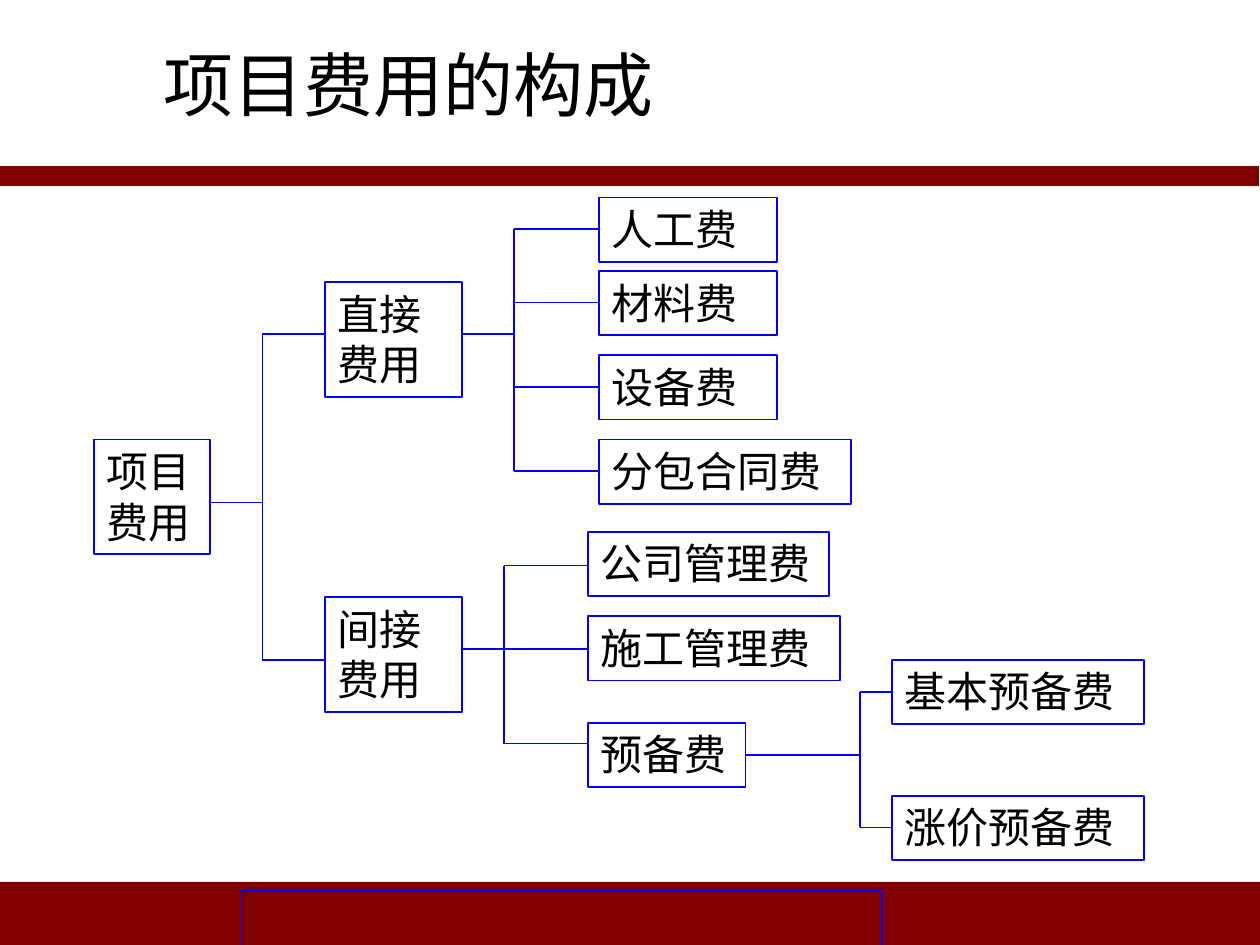
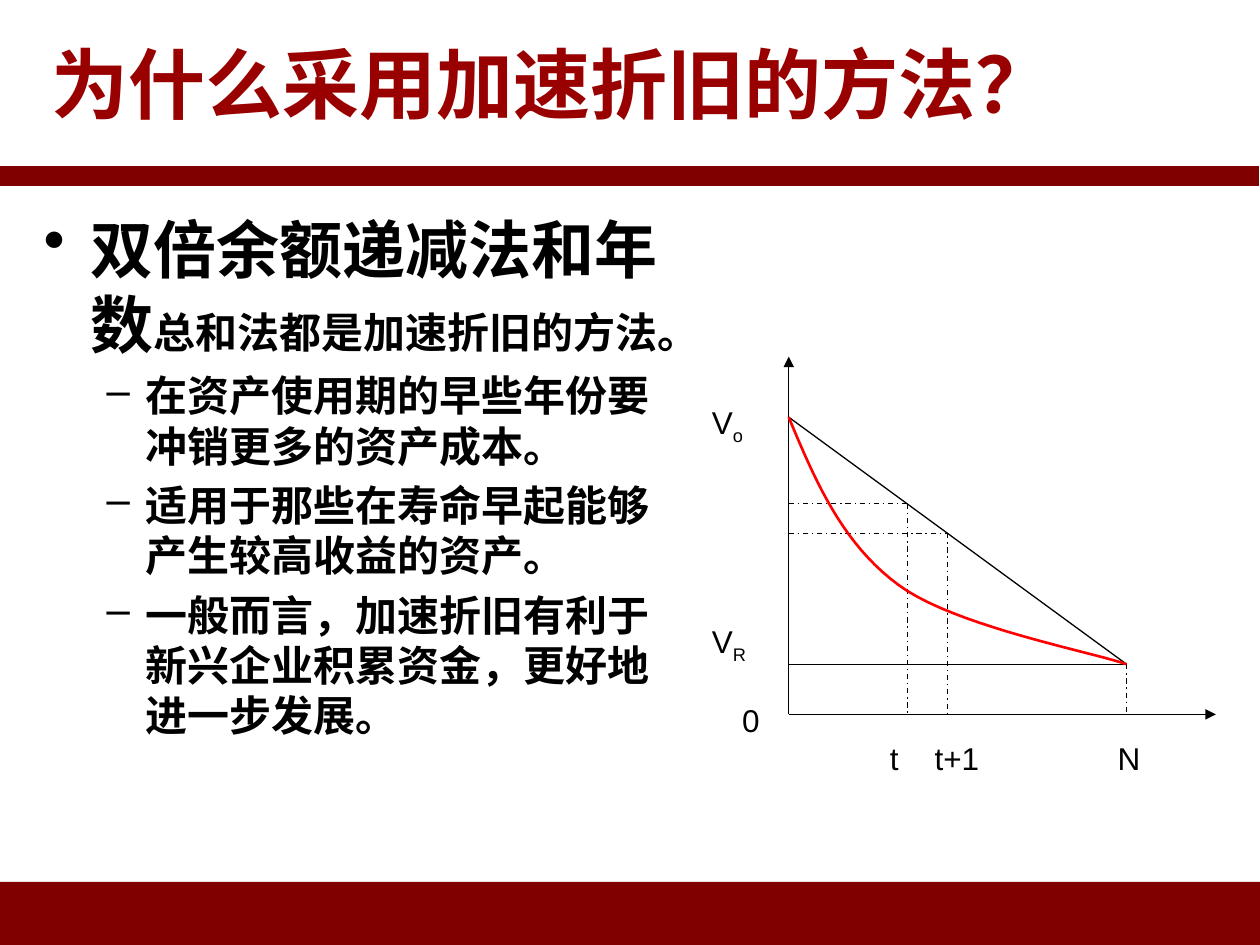
from lxml import etree
from pptx import Presentation
from pptx.dml.color import RGBColor
from pptx.enum import dml, shapes, text
from pptx.oxml.ns import qn
from pptx.util import Cm, Pt

BAND_RED = RGBColor(0x80, 0x00, 0x00)
TITLE_RED = RGBColor(0x99, 0x00, 0x00)
BLUE = RGBColor(0x00, 0x00, 0xFF)
RED = RGBColor(0xFF, 0x00, 0x00)
BLACK = RGBColor(0x00, 0x00, 0x00)
SERIF, SANS = "Times New Roman", "Arial"

# All positions below are in centimetres.
BANDS = [(0, 17.78, 25.4, 1.27), (0, 3.35, 25.38, 0.4)]

# Cost tree: text -> left, top, width, height, y where its line enters
TALL, LOW = 2.31, 1.3
COSTS = {
    "项目费用": (1.9, 8.86, 2.33, TALL, None),
    "直接费用": (6.56, 5.69, 2.75, TALL, 6.73),
    "间接费用": (6.56, 12.04, 2.75, TALL, 13.31),
    "人工费": (12.07, 3.98, 3.6, LOW, 4.62),
    "材料费": (12.07, 5.46, 3.6, LOW, 6.1),
    "设备费": (12.07, 7.16, 3.6, LOW, 7.8),
    "分包合同费": (12.07, 8.86, 5.08, LOW, 9.5),
    "公司管理费": (11.85, 10.72, 4.87, LOW, 11.4),
    "施工管理费": (11.85, 12.42, 5.08, LOW, 13.08),
    "预备费": (11.85, 14.57, 3.18, LOW, 14.99),
    "基本预备费": (17.99, 13.3, 5.08, LOW, 13.95),
    "涨价预备费": (17.99, 16.04, 5.08, LOW, 16.68),
}
# parent, y where its line leaves, x of the spine, children
BRANCHES = [
    ("项目费用", 10.13, 5.29, ["直接费用", "间接费用"]),
    ("直接费用", 6.73, 10.37, ["人工费", "材料费", "设备费", "分包合同费"]),
    ("间接费用", 13.08, 10.16, ["公司管理费", "施工管理费", "预备费"]),
    ("预备费", 15.22, 17.34, ["基本预备费", "涨价预备费"]),
]
FOOTER_FRAME = (4.87, 17.96, 12.91, LOW)

# Bullets: level, [(text, size), ...]
REASONS = [
    (0, [("双倍余额递减法和年数", 36), ("总和法都是加速折旧的方法。", 24)]),
    (1, [("在资产使用期的早些年份要冲销更多的资产成本。", 24)]),
    (1, [("适用于那些在寿命早起能够产生较高收益的资产。", 24)]),
    (1, [("一般而言，加速折旧有利于新兴企业积累资金，更好地进一步发展。", 24)]),
]
# level -> bullet, left margin, hanging indent, space before in points
LEVELS = [("•", 0.95, 0.95, 0), ("–", 2.06, 0.79, 5)]

# Depreciation diagram
ORIGIN_X, ORIGIN_Y = 15.9, 14.4
AXIS_TOP, AXIS_RIGHT = 7.19, 24.51
V0_Y, VR_Y, N_X = 8.41, 13.39, 22.71
YEARS_X = [18.29, 19.1]
CURVE = [
    [(ORIGIN_X, V0_Y), (16.43, 9.68), (16.97, 10.95), (18.11, 11.79)],
    [(18.11, 11.79), (19.23, 12.62), (21.95, 13.13), (N_X, VR_Y)],
]
# text, subscript, left, top
LABELS = [
    ("V", "o", 14.1, 8), ("V", "R", 14.1, 12.41), ("0", "", 14.71, 14),
    ("t", "", 17.69, 14.78), ("t+1", "", 18.59, 14.78), ("N", "", 22.28, 14.78),
]


def cms(values):
    return [Cm(v) for v in values]


def style_run(r, font, size, color=BLACK, bold=False):
    r.font.name, r.font.size, r.font.bold = font, Pt(size), bold
    r.font.color.rgb = color


def add_rect(s, at, fill=None, line=None):
    sp = s.shapes.add_shape(shapes.MSO_SHAPE.RECTANGLE, *cms(at))
    sp.shadow.inherit = False
    if fill is None:
        sp.fill.background()
    else:
        sp.fill.solid()
        sp.fill.fore_color.rgb = fill
    if line is None:
        sp.line.fill.background()
    else:
        sp.line.color.rgb, sp.line.width = line, Pt(1)
    return sp


def add_line(s, x1, y1, x2, y2, color=BLACK, width=0.75, dashed=False, arrow=False):
    cxn = s.shapes.add_connector(
        shapes.MSO_CONNECTOR.STRAIGHT, *cms((x1, y1, x2, y2)))
    cxn.line.color.rgb, cxn.line.width = color, Pt(width)
    if dashed:
        cxn.line.dash_style = dml.MSO_LINE.DASH_DOT
    sp_pr = cxn.element.spPr
    if arrow:
        etree.SubElement(sp_pr.find(qn("a:ln")), qn("a:tailEnd"), type="triangle")
    etree.SubElement(sp_pr, qn("a:effectLst"))


def set_title(s, title, at, anchor, **style):
    sp = s.shapes.title
    sp.left, sp.top, sp.width, sp.height = cms(at)
    tf = sp.text_frame
    tf.text = title
    tf.auto_size, tf.vertical_anchor = text.MSO_AUTO_SIZE.NONE, anchor
    p = tf.paragraphs[0]
    p.alignment = text.PP_ALIGN.LEFT
    style_run(p.runs[0], **style)


def add_bands_to_master(prs, s):
    """Draw the bands on a slide, then move them to the back of the master."""
    tree = prs.slide_master.shapes.element
    for i, at in enumerate(BANDS):
        el = add_rect(s, at, fill=BAND_RED).element
        el.xpath(".//p:cNvPr")[0].set("id", str(100 + i))
        tree.insert(2 + i, el)


def draw_cost_tree(s):
    for name, (*at, _) in COSTS.items():
        tf = add_rect(s, at, line=BLUE).text_frame
        tf.text = name
        tf.word_wrap, tf.vertical_anchor = True, text.MSO_ANCHOR.TOP
        p = tf.paragraphs[0]
        p.alignment = text.PP_ALIGN.LEFT
        style_run(p.runs[0], SERIF, 24)
    for parent, exit_y, spine_x, children in BRANCHES:
        left, _, width, *_ = COSTS[parent]
        entries = [(COSTS[c][0], COSTS[c][4]) for c in children]
        lines = [(left + width, exit_y, spine_x, exit_y),
                 (spine_x, entries[0][1], spine_x, entries[-1][1])]
        lines += [(spine_x, y, x, y) for x, y in entries]
        for line in lines:
            add_line(s, *line, color=BLUE, width=1)
    add_rect(s, FOOTER_FRAME, line=BLUE)


def add_reasons(s):
    tf = s.shapes.add_textbox(*cms((0.63, 4.11, 13.46, 13.44))).text_frame
    tf.word_wrap = True
    for i, (level, runs) in enumerate(REASONS):
        p = tf.add_paragraph() if i else tf.paragraphs[0]
        bullet, margin, hang, before = LEVELS[level]
        p_pr = p._p.get_or_add_pPr()
        p_pr.set("marL", str(Cm(margin)))
        p_pr.set("indent", str(-Cm(hang)))
        etree.SubElement(p_pr, qn("a:buChar"), char=bullet)
        p.level, p.space_before = level, Pt(before)
        for words, size in runs:
            r = p.add_run()
            r.text = words
            style_run(r, SANS, size, bold=True)


def bezier(points, t):
    weights = ((1 - t) ** 3, 3 * t * (1 - t) ** 2, 3 * t * t * (1 - t), t ** 3)
    return tuple(Cm(sum(w * pt[i] for w, pt in zip(weights, points))) for i in (0, 1))


def draw_depreciation(s, steps=20):
    add_line(s, ORIGIN_X, ORIGIN_Y, ORIGIN_X, AXIS_TOP, arrow=True)
    add_line(s, ORIGIN_X, ORIGIN_Y, AXIS_RIGHT, ORIGIN_Y, arrow=True)
    add_line(s, ORIGIN_X, V0_Y, N_X, VR_Y)
    add_line(s, ORIGIN_X, VR_Y, N_X, VR_Y)
    add_line(s, N_X, VR_Y, N_X, ORIGIN_Y, dashed=True)
    slope = (VR_Y - V0_Y) / (N_X - ORIGIN_X)
    for x in YEARS_X:
        y = V0_Y + slope * (x - ORIGIN_X)
        add_line(s, x, y, x, ORIGIN_Y, dashed=True)
        add_line(s, ORIGIN_X, y, x, y, dashed=True)

    points = [bezier(seg, i / steps) for seg in CURVE for i in range(steps + 1)]
    builder = s.shapes.build_freeform(*points[0])
    builder.add_line_segments(points[1:], close=False)
    curve = builder.convert_to_shape()
    curve.shadow.inherit = False
    curve.fill.background()
    curve.line.color.rgb, curve.line.width = RED, Pt(1.5)

    for label, subscript, left, top in LABELS:
        tf = s.shapes.add_textbox(*cms((left, top, 1.4, 1.02))).text_frame
        tf.word_wrap = False
        p = tf.paragraphs[0]
        p.text = label
        if subscript:
            r = p.add_run()
            r.text = subscript
            r._r.get_or_add_rPr().set("baseline", "-25000")
        for r in p.runs:
            style_run(r, SANS, 18)


def main():
    prs = Presentation()
    prs.slide_width, prs.slide_height = Cm(25.4), Cm(19.05)
    title_only = prs.slide_layouts[5]

    s = prs.slides.add_slide(title_only)
    add_bands_to_master(prs, s)
    set_title(s, "项目费用的构成", (3.05, 0.71, 10.9, 1.96),
              text.MSO_ANCHOR.TOP, font=SERIF, size=40)
    draw_cost_tree(s)

    s = prs.slides.add_slide(title_only)
    set_title(s, "为什么采用加速折旧的方法？", (0.79, 0.03, 22.71, 3.28),
              text.MSO_ANCHOR.MIDDLE, font=SANS, size=44, color=TITLE_RED, bold=True)
    add_reasons(s)
    draw_depreciation(s)

    prs.save("out.pptx")


if __name__ == "__main__":
    main()
